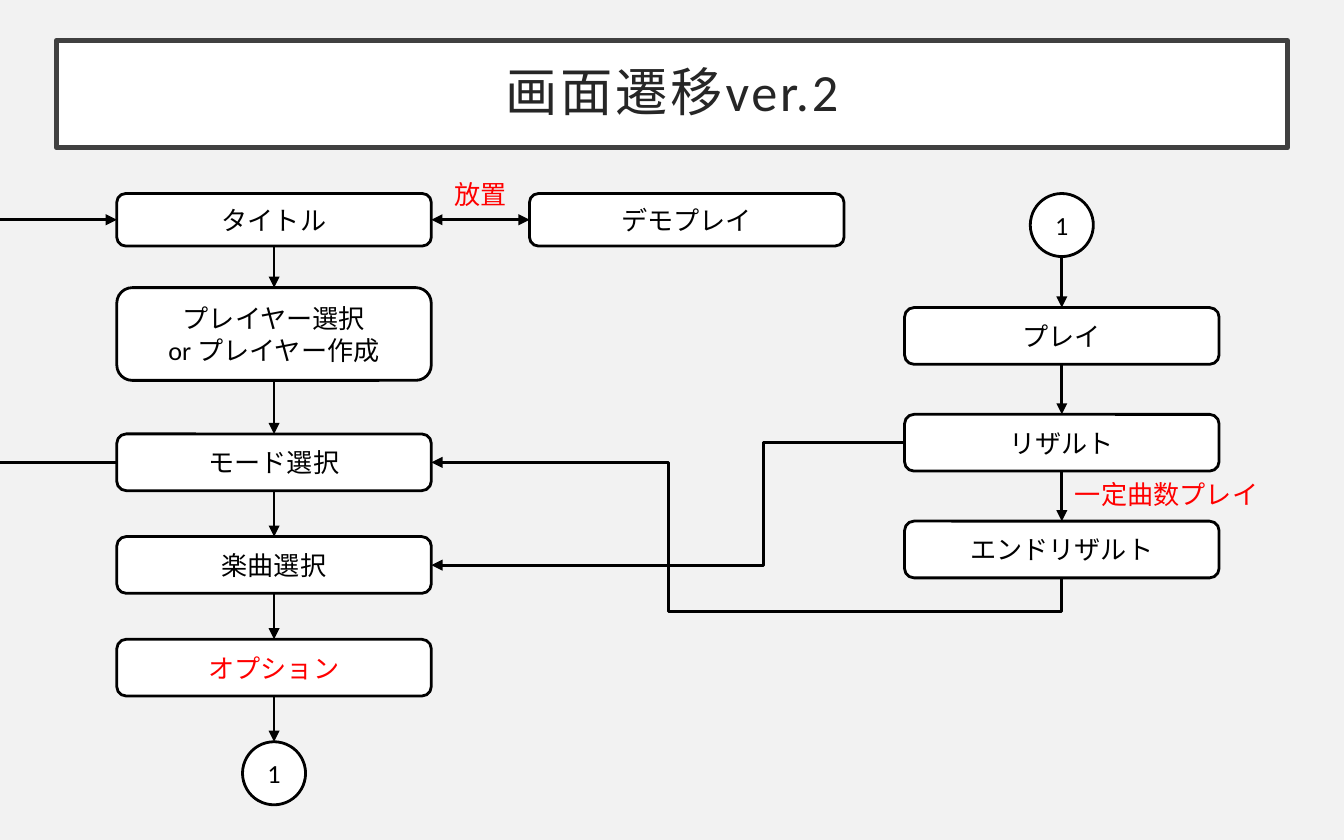
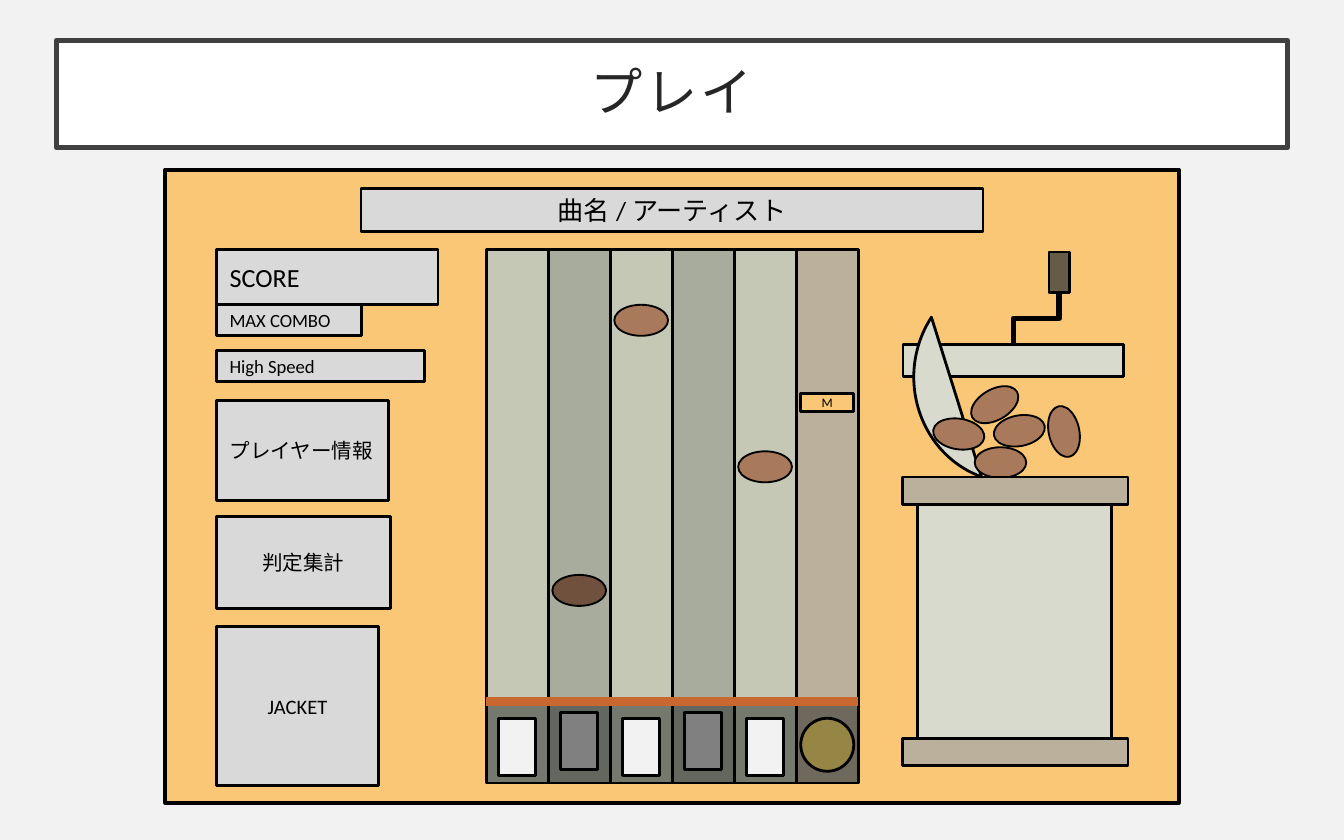
from pptx import Presentation
from pptx.dml.color import RGBColor as RGB
from pptx.enum.shapes import MSO_CONNECTOR as CXN, MSO_SHAPE as KIND
from pptx.enum.text import MSO_ANCHOR as ANCHOR, MSO_AUTO_SIZE as AUTO, PP_ALIGN as ALIGN
from pptx.oxml.ns import qn
from pptx.util import Pt
from lxml.etree import SubElement as sub

FONT = "Calibri"
HUE = {
    "back": "F2F2F2", "white": "FFFFFF", "black": "000000", "red": "FF0000",
    "frame": "404040", "title": "262626", "stage": "FAC777", "panel": "D9D9D9",
    "light": "C4C8B5", "dark": "A7AC9C", "tan": "BAB09B", "judge": "C96731",
    "bean": "A8795A", "roast": "70513D", "glass": "D7DACD", "grip": "655B46",
    "grey": "808080", "knob": "958646",
}
HUE = {name: RGB.from_string(code) for name, code in HUE.items()}
TOP, LEFT, BASE, RIGHT = range(4)


def box(home, kind, at, fill="white", edge=1.5, text="", size=14, ink="black",
        align=ALIGN.CENTER, turn=0):
    """Add a filled shape; at is left, top, width, height in points."""
    shape = home.add_shape(kind, *map(Pt, at))
    shape.shadow.inherit = False
    shape.rotation = turn
    shape.fill.solid()
    shape.fill.fore_color.rgb = HUE[fill]
    if edge:
        shape.line.color.rgb = HUE["black"]
        shape.line.width = Pt(edge)
    else:
        shape.line.fill.background()
    if text:
        frame = shape.text_frame
        frame.text = text
        frame.word_wrap = True
        frame.vertical_anchor = ANCHOR.MIDDLE
        for para in frame.paragraphs:
            para.alignment = align
            para.font.name, para.font.size = FONT, Pt(size)
            para.font.color.rgb = HUE[ink]
    return shape


def link(home, start, end, ink="black", weight=1.5, tips=("tailEnd",), bend=None):
    """Join (shape, side) or (x, y) ends; bend is frame, turn, flip, adjusts."""
    line = home.add_connector(CXN.ELBOW if bend else CXN.STRAIGHT, 0, 0, 0, 0)
    if hasattr(start[0], "text_frame"):
        line.begin_connect(*start)
    else:
        line.begin_x, line.begin_y = map(Pt, start)
    if hasattr(end[0], "text_frame"):
        line.end_connect(*end)
    else:
        line.end_x, line.end_y = map(Pt, end)
    line.line.color.rgb = HUE[ink]
    line.line.width = Pt(weight)
    props = line._element.spPr
    for tip in tips:
        sub(props.find(qn("a:ln")), qn("a:" + tip), type="triangle")
    sub(props, qn("a:effectLst"))
    if bend:
        at, turn, flip, shifts = bend
        line.left, line.top, line.width, line.height = map(Pt, at)
        xfrm = props.find(qn("a:xfrm"))
        xfrm.set("rot", str(turn * 60000))
        for axis in "HV":
            xfrm.set("flip" + axis, str(int(axis == flip)))
        geom = props.find(qn("a:prstGeom"))
        geom.set("prst", f"bentConnector{len(shifts) + 2}")
        guides = geom.find(qn("a:avLst"))
        for num, shift in enumerate(shifts, 1):
            sub(guides, qn("a:gd"), name=f"adj{num}", fmla=f"val {round(shift * 100000)}")
    return line


deck = Presentation()
deck.slide_width, deck.slide_height = Pt(720), Pt(450)
ground = deck.slide_master.background.fill
ground.solid()
ground.fore_color.rgb = HUE["back"]

# Slides with their framed titles
pages = []
for text in ("画面遷移ver.2", "プレイ"):
    page = deck.slides.add_slide(deck.slide_layouts[5])
    title = page.shapes.title
    title.left, title.top, title.width, title.height = map(Pt, (30.2, 21.6, 659.6, 57.6))
    title.fill.solid()
    title.fill.fore_color.rgb = HUE["white"]
    title.line.color.rgb = HUE["frame"]
    title.line.width = Pt(2.5)
    frame = title.text_frame
    frame.text = text
    frame.auto_size = AUTO.NONE
    frame.word_wrap = True
    frame.vertical_anchor = ANCHOR.MIDDLE
    frame.margin_left = frame.margin_right = Pt(14.4)
    frame.margin_top = frame.margin_bottom = Pt(14.4)
    para = frame.paragraphs[0]
    para.alignment, para.line_spacing = ALIGN.CENTER, 0.9
    para.font.name, para.font.size = FONT, Pt(28)
    para.font.color.rgb = HUE["title"]
    para.runs[0]._r.get_or_add_rPr().set("spc", "150")
    pages.append(page.shapes)
flow, play = pages

# Flow: two columns of steps, each chained from top to bottom
WIDE, DOT, HEAD = 168.5, 33.8, 103.7
columns = [
    (62.6, [("タイトル", HEAD, 28.1), ("プレイヤー選択\nor プレイヤー作成", 154.1, 49.7),
            ("モード選択", 232.5, 30.4), ("楽曲選択", 287.5, 30.4),
            ("オプション", 342.5, 30.4), ("1", 397.4, DOT)]),
    (484.6, [("1", HEAD, DOT), ("プレイ", 164.8, 30.4),
             ("リザルト", 222, 30.4), ("エンドリザルト", 279.2, 30.4)]),
]
step = {}
for left, rows in columns:
    last = None
    for text, top, high in rows:
        if text == "1":
            node = box(flow, KIND.OVAL, (left + (WIDE - DOT) / 2, top, DOT, DOT), text=text)
        else:
            ink = "red" if text == "オプション" else "black"
            node = box(flow, KIND.ROUNDED_RECTANGLE, (left, top, WIDE, high),
                       text=text, ink=ink)
        if last:
            link(flow, (last, BASE), (node, TOP))
        step[text] = last = node

# Flow: demo branch and the ways back
demo = box(flow, KIND.ROUNDED_RECTANGLE, (283.7, HEAD, WIDE, 28.1), text="デモプレイ")
link(flow, (demo, LEFT), (step["タイトル"], RIGHT), tips=("headEnd", "tailEnd"))
link(flow, (step["モード選択"], LEFT), (0, 247.7), tips=())
link(flow, (0, 117.75), (step["タイトル"], LEFT))
link(flow, (step["リザルト"], LEFT), (step["楽曲選択"], RIGHT),
     bend=((231.1, 237.2, 253.5, 65.5), 180, "V", [0.298]))
link(flow, (step["エンドリザルト"], BASE), (step["モード選択"], RIGHT),
     bend=((369.05, 109.8, 61.9, 337.7), 90, "H", [-0.291, 0.624]))

# Flow: red conditions
for text, at in (("放置", (236.2, 92.2, 42.5, 24.2)),
                 ("一定曲数プレイ", (568.8, 252.7, 113.8, 24.2))):
    note = flow.add_textbox(*map(Pt, at)).text_frame
    note.text = text
    note.word_wrap = False
    note.auto_size = AUTO.SHAPE_TO_FIT_TEXT
    font = note.paragraphs[0].font
    font.name, font.size = FONT, Pt(14)
    font.color.rgb = HUE["red"]

# Play: stage and lanes
RECT, OVAL = KIND.RECTANGLE, KIND.OVAL
SIDE, LANE, JUDGE = 260.6, 33.2, 375.9
box(play, RECT, (88.6, 90.9, 542.9, 339.1), "stage", 2.25)
lanes = play.add_group_shape().shapes
for num, fill in enumerate(["light", "dark", "light", "dark", "light", "tan"]):
    box(lanes, RECT, (SIDE + num * LANE, 133.8, LANE, 285.7), fill)
shade = box(play, RECT, (SIDE, JUDGE, 6 * LANE, 43.5), "black", 0)
tone = shade._element.spPr.find(qn("a:solidFill"))[0]
sub(tone, qn("a:alpha"), val="40000")
link(play, (SIDE, JUDGE), (SIDE + 6 * LANE, JUDGE), "judge", 4.5, ())

# Play: falling notes
box(play, RECT, (429, 211, 28.4, 9.4), "stage", text="M", size=7)
for num, top, fill in ((2, 163.3, "bean"), (1, 308, "roast"), (4, 241.8, "bean")):
    box(play, OVAL, (SIDE + num * LANE + 2.1, top, 28.8, 16.6), fill, 1)

# Play: information panels
box(play, RECT, (193.4, 100.8, 333.2, 23.3), "panel", text="曲名 / アーティスト")
for text, top, wide, high, size, align in (
        ("SCORE", 133.5, 118.8, 29.5, 14, ALIGN.LEFT),
        ("MAX COMBO", 163.2, 78, 16.5, 10, ALIGN.LEFT),
        ("High Speed", 187.8, 111.5, 16.5, 10, ALIGN.LEFT),
        ("プレイヤー情報", 214.6, 92.2, 53.5, 11, ALIGN.LEFT),
        ("判定集計", 276.8, 93.2, 49.2, 11, ALIGN.CENTER),
        ("JACKET", 335.6, 87, 85.2, 11, ALIGN.CENTER)):
    box(play, RECT, (115.9, top, wide, high), "panel", text=text, size=size, align=align)

# Play: coffee mill
mill = play.add_group_shape().shapes
box(mill, RECT, (491.5, 270, 104, 126), "glass")
lid = box(mill, RECT, (483.8, 184.5, 118.2, 17.2), "glass")
bowl = box(mill, KIND.CHORD, (486.7, 148.3, 113, 107.3), "glass", turn=90)
bowl.adjustments[0], bowl.adjustments[1] = 32.43, 97.19
bowl._element.spPr.find(qn("a:xfrm")).set("flipH", "1")
for left, top, turn in ((519.1, 208.6, 330), (499.8, 224.3, 8.8), (522.2, 239.6, 0),
                        (532.3, 222.6, 349.4), (556.2, 223, 78.1)):
    box(mill, OVAL, (left, top, 27.6, 16.4), "bean", 1, turn=turn)
for top in (395.7, 255.6):
    box(mill, RECT, (483.3, top, 121, 14.5), "tan")
grip = box(mill, RECT, (562, 135, 10.8, 21.6), "grip")
link(mill, (grip, BASE), (lid, TOP), weight=3, tips=(),
     bend=((541.2, 158.3, 27.9, 24.5), 90, "", [0.5]))

# Play: keys under the lanes
for num in range(5):
    top, fill = ((385, "back"), (381.7, "grey"))[num % 2]
    box(play, RECT, (SIDE + num * LANE + 6.6, top, 19.8, 30.5), fill)
box(play, OVAL, (429, 384.8, 28.4, 28.4), "knob")

deck.save("out.pptx")
